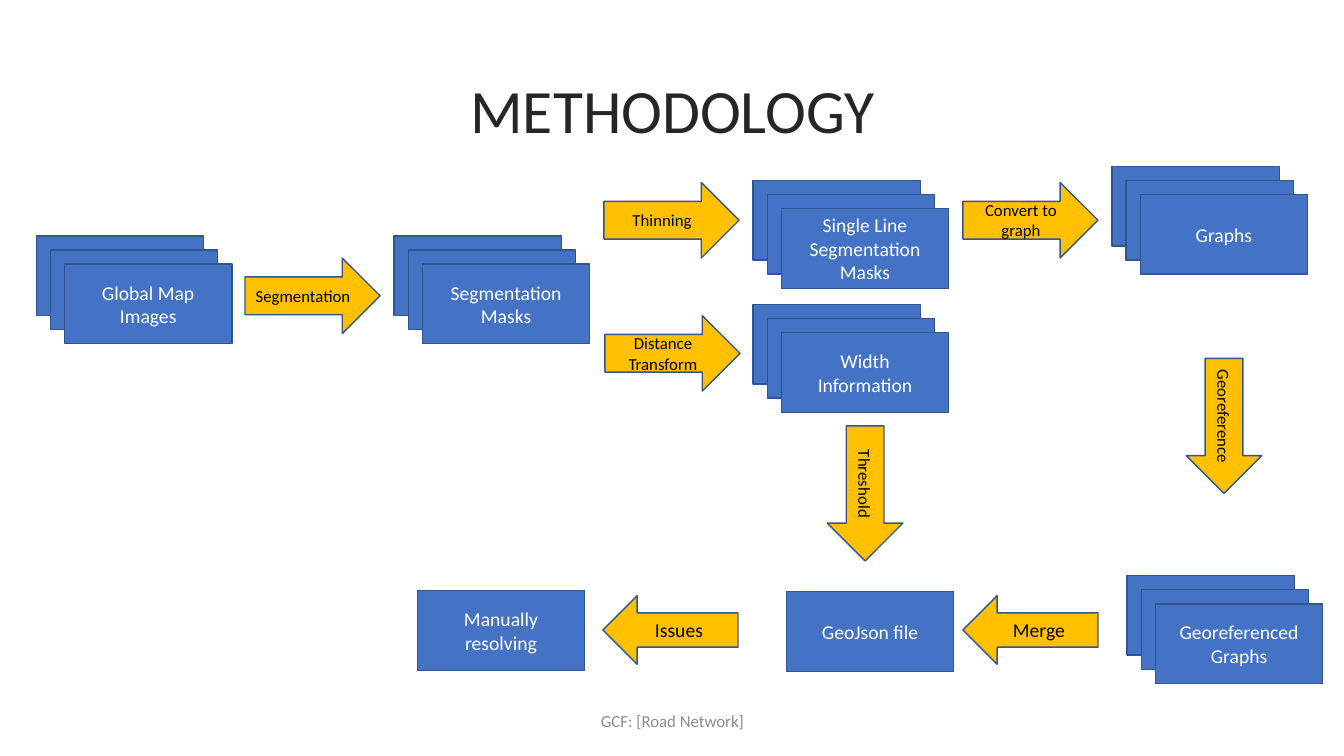
"""Build the methodology flow slide."""
from pptx import Presentation
from pptx.dml.color import RGBColor
from pptx.enum.shapes import MSO_SHAPE
from pptx.enum.text import MSO_ANCHOR, PP_ALIGN
from pptx.util import Inches, Pt

RECT = MSO_SHAPE.RECTANGLE
RIGHT = MSO_SHAPE.RIGHT_ARROW
LEFT = MSO_SHAPE.LEFT_ARROW
CENTER = PP_ALIGN.CENTER
MIDDLE = MSO_ANCHOR.MIDDLE

STACKS = [
    (0.36, 2.34, "Global Map Images"),
    (3.91, 2.34, "Segmentation Masks"),
    (7.47, 3.02, "Width Information"),
    (11.03, 1.65, "Graphs"),
    (11.18, 5.71, "Georeferenced Graphs"),
    (7.47, 1.79, "Single Line Segmentation Masks"),
]
BOXES = [(7.8, 5.87, "GeoJson file"), (4.14, 5.86, "Manually resolving")]
STEPS = [
    (2.43, 2.56, "Segmentation", 0),
    (5.99, 1.81, "Thinning", 0),
    (6, 3.13, "Distance Transform", 0),
    (9.55, 1.81, "Convert to graph", 0),
    (11.47, 3.85, "Georeference", 90),
    (7.91, 4.52, "Threshold", 90),
]
BACKS = [(9.55, 5.91, "Merge"), (5.98, 5.91, "Issues")]


def color(code):
    return RGBColor.from_string(code)


class Deck:
    """Hold the style and the current slide."""

    font = "Calibri"
    blue, gold, edge = "4472C4", "FFC000", "325491"
    white, black, dark, gray = "FFFFFF", "000000", "262626", "8C8C8C"
    wide, high, step = 1.66, 0.79, 0.14

    def __init__(self):
        self.prs = Presentation()
        self.prs.slide_width = Inches(13.33)
        self.prs.slide_height = Inches(7.5)
        self.slide = self.prs.slides.add_slide(self.prs.slide_layouts[5])

    def put_text(self, shape, text, size, tone):
        frame = shape.text_frame
        frame.text = text
        frame.word_wrap = True
        frame.vertical_anchor = MIDDLE
        para = frame.paragraphs[0]
        para.alignment = CENTER
        font = para.runs[0].font
        font.name = self.font
        font.size = Pt(size)
        font.color.rgb = color(tone)
        return para

    def title(self, text):
        head = self.slide.shapes.title
        head.left, head.top = Inches(0.92), Inches(0.4)
        head.width, head.height = Inches(11.5), Inches(1.45)
        self.put_text(head, text, 44, self.dark).line_spacing = 0.9

    def label(self, x, y, w, h, text):
        area = self.slide.shapes.add_textbox(Inches(x), Inches(y), Inches(w), Inches(h))
        self.put_text(area, text, 12, self.gray)

    def shape(self, home, kind, x, y, w, h, fill):
        item = home.add_shape(kind, Inches(x), Inches(y), Inches(w), Inches(h))
        item.shadow.inherit = False
        item.fill.solid()
        item.fill.fore_color.rgb = color(fill)
        item.line.color.rgb = color(self.edge)
        item.line.width = Pt(1)
        return item

    def box(self, x, y, text, home=None):
        home = home or self.slide.shapes
        item = self.shape(home, RECT, x, y, self.wide, self.high, self.blue)
        if text:
            self.put_text(item, text, 14, self.white)

    def stack(self, x, y, text):
        home = self.slide.shapes.add_group_shape().shapes
        for i, part in enumerate(("", "", text)):
            self.box(x + i * self.step, y + i * self.step, part, home)

    def arrow(self, kind, x, y, h, text, size, turn=0):
        item = self.shape(self.slide.shapes, kind, x, y, 1.34, h, self.gold)
        item.rotation = turn
        self.put_text(item, text, size, self.black)


def main():
    deck = Deck()
    deck.title("METHODOLOGY")
    deck.label(4.42, 6.95, 4.5, 0.4, "GCF: [Road Network]")
    for x, y, text in STACKS:
        deck.stack(x, y, text)
    for x, y, text in BOXES:
        deck.box(x, y, text)
    for x, y, text, turn in STEPS:
        deck.arrow(RIGHT, x, y, 0.75, text, 12, turn)
    for x, y, text in BACKS:
        deck.arrow(LEFT, x, y, 0.68, text, 14)
    deck.prs.save("out.pptx")


if __name__ == "__main__":
    main()
